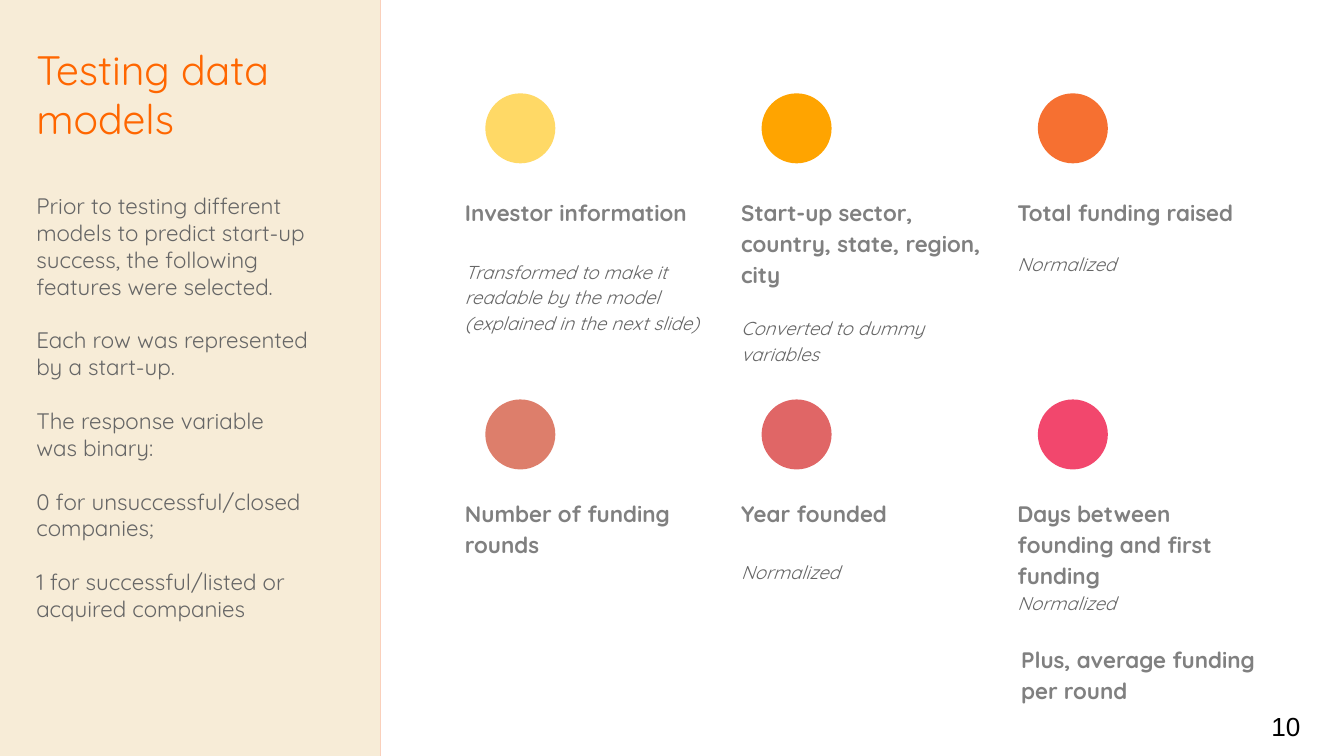
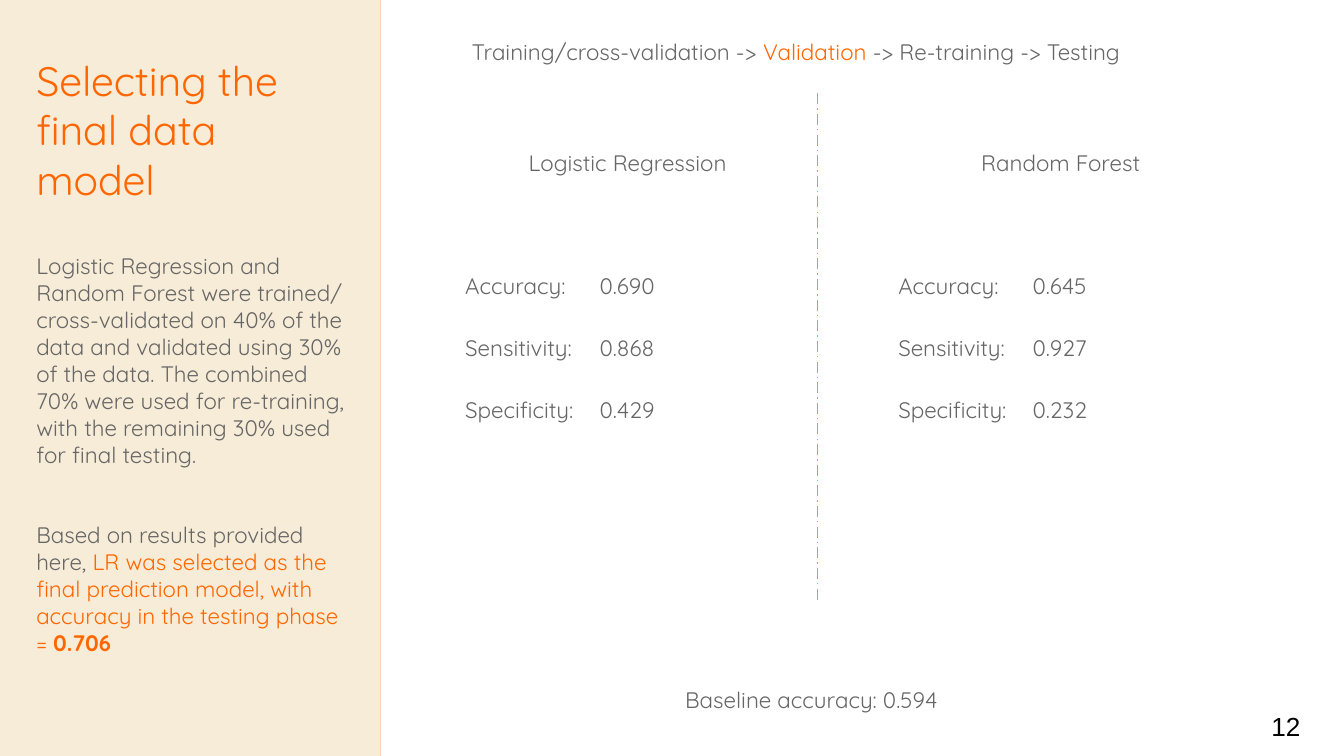
from dataclasses import dataclass

from lxml import etree
from pptx import Presentation
from pptx.dml.color import RGBColor
from pptx.enum.dml import MSO_LINE
from pptx.enum.shapes import MSO_CONNECTOR, MSO_SHAPE
from pptx.enum.text import MSO_ANCHOR, MSO_AUTO_SIZE, PP_ALIGN
from pptx.oxml.ns import qn
from pptx.util import Pt

RECTANGLE = MSO_SHAPE.RECTANGLE
OVAL = MSO_SHAPE.OVAL
STRAIGHT = MSO_CONNECTOR.STRAIGHT
DASH_DOT = MSO_LINE.LONG_DASH_DOT
LEFT, CENTER = PP_ALIGN.LEFT, PP_ALIGN.CENTER
TOP, MIDDLE = MSO_ANCHOR.TOP, MSO_ANCHOR.MIDDLE
NO_FIT = MSO_AUTO_SIZE.NONE

TITLE_ONLY_LAYOUT = 5
TWO_CONTENT_LAYOUT = 3
PAGE_WIDTH, PAGE_HEIGHT = 720, 405
SIDEBAR_WIDTH = 203.75


@dataclass(frozen=True)
class Theme:
    font: str = "Quicksand"
    number_font: str = "Arial"
    backdrop: str = "F67031"
    panel: str = "FFFFFF"
    sidebar: str = "F7ECD7"
    accent: str = "FF6600"
    body: str = "666666"
    label: str = "808080"
    number: str = "000000"
    divider: str = "D79D34"
    title_size: float = 22
    number_size: float = 14
    body_size: float = 12
    note_size: float = 10
    title_gap: float = 26.4
    body_gap: float = 14.4
    loose_line: float = 1.15
    loose_gap: float = 16.5
    inset: float = 7.2


THEME = Theme()


@dataclass(frozen=True)
class Box:
    left: float
    top: float
    width: float
    height: float

    def lengths(self):
        return Pt(self.left), Pt(self.top), Pt(self.width), Pt(self.height)


@dataclass(frozen=True)
class Span:
    text: str
    color: str = THEME.body
    size: float = THEME.body_size
    bold: bool = False
    italic: bool = False
    font: str = THEME.font


@dataclass(frozen=True)
class Para:
    spans: tuple
    after: float = 0
    line: float = THEME.loose_line
    align: PP_ALIGN = LEFT
    tab: float = 0


@dataclass(frozen=True)
class Feature:
    label: str
    color: str
    note: str = ""
    gap: float = THEME.loose_gap
    width: float = 141.2
    height: float = 104
    opacity: int = 100


def write_text(shape, paras, anchor=TOP):
    frame = shape.text_frame
    frame.word_wrap = True
    frame.auto_size = NO_FIT
    frame.vertical_anchor = anchor
    frame.margin_left = frame.margin_right = Pt(THEME.inset)
    frame.margin_top = frame.margin_bottom = Pt(THEME.inset)
    for index, para in enumerate(paras):
        target = frame.add_paragraph() if index else frame.paragraphs[0]
        target.alignment = para.align
        target.line_spacing = para.line
        target.space_before = Pt(0)
        target.space_after = Pt(para.after)
        for span in para.spans:
            run = target.add_run()
            run.text = span.text
            run.font.name = span.font
            run.font.size = Pt(span.size)
            run.font.bold = span.bold
            run.font.italic = span.italic
            run.font.color.rgb = RGBColor.from_string(span.color)
        format_list(target, para.tab)


def format_list(target, tab):
    settings = target._p.get_or_add_pPr()
    settings.set("marL", "0")
    settings.set("indent", "0")
    etree.SubElement(settings, qn("a:buNone"))
    if tab:
        stops = etree.SubElement(settings, qn("a:tabLst"))
        etree.SubElement(stops, qn("a:tab"), pos=str(Pt(tab)), algn="r")


def place(shape, box):
    shape.left, shape.top, shape.width, shape.height = box.lengths()


def add_text(page, box, paras, anchor=TOP):
    write_text(page.shapes.add_textbox(*box.lengths()), paras, anchor)


def add_block(page, kind, box, color, opacity=100):
    shape = page.shapes.add_shape(kind, *box.lengths())
    shape.shadow.inherit = False
    shape.fill.solid()
    shape.fill.fore_color.rgb = RGBColor.from_string(color)
    shape.line.fill.background()
    if opacity < 100:
        tint = shape.element.spPr.find(".//" + qn("a:srgbClr"))
        etree.SubElement(tint, qn("a:alpha"), val=str(opacity * 1000))
    return shape


def add_page(deck, layout, number, title_box, heading, story):
    page = deck.slides.add_slide(deck.slide_layouts[layout])
    title = page.shapes.title
    bands = (
        (Box(SIDEBAR_WIDTH, 0, PAGE_WIDTH - SIDEBAR_WIDTH, PAGE_HEIGHT), THEME.panel),
        (Box(0, 0, SIDEBAR_WIDTH, PAGE_HEIGHT), THEME.sidebar),
    )
    for box, color in bands:
        band = add_block(page, RECTANGLE, box, color)
        title.element.addprevious(band.element)
    place(title, title_box)
    head = Para((Span(heading, THEME.accent, THEME.title_size),), THEME.title_gap, 1.0)
    write_text(title, [head, *story])
    digits = Span(str(number), THEME.number, THEME.number_size, font=THEME.number_font)
    add_text(page, Box(674, 373.5, 43, 31), [Para((digits,), line=1.0)], MIDDLE)
    return page


def label_span(text):
    return Span(text, THEME.label, bold=True)


def add_feature(page, feature, box, caption_drop):
    dot = Box(box.left + 18, box.top, 37.5, 37.5)
    add_block(page, OVAL, dot, feature.color, feature.opacity)
    caption = Box(box.left, box.top + caption_drop, feature.width, feature.height)
    paras = [Para((label_span(feature.label),), feature.gap if feature.note else 0)]
    if feature.note:
        paras.append(Para((Span(feature.note, size=THEME.note_size, italic=True),)))
    add_text(page, caption, paras)


def add_feature_grid(page, box, rows):
    column_step, row_step = box.width / 3, box.height / 2
    for row, (caption_drop, features) in enumerate(rows):
        for column, feature in enumerate(features):
            cell = Box(box.left + column * column_step, box.top + row * row_step,
                       column_step, row_step)
            add_feature(page, feature, cell, caption_drop)


def add_metrics(body, box, model, scores):
    place(body, box)
    paras = [Para((Span(model),), 3 * THEME.loose_gap, align=CENTER)]
    for name, score in scores:
        paras.append(Para((Span(f"{name}:\t{score}"),), THEME.loose_gap, tab=165.5))
    write_text(body, paras)


def add_divider(page, left, top, bottom):
    line = page.shapes.add_connector(STRAIGHT, Pt(left), Pt(top), Pt(left), Pt(bottom))
    line.line.color.rgb = RGBColor.from_string(THEME.divider)
    line.line.width = Pt(0.75)
    line.line.dash_style = DASH_DOT
    etree.SubElement(line.element.spPr, qn("a:effectLst"))


def build_features_page(deck):
    texts = (
        "Prior to testing different models to predict start-up success, "
        "the following features were selected.",
        "Each row was represented by a start-up.",
        "The response variable was binary:",
        "0 for unsuccessful/closed companies;",
        "1 for successful/listed or acquired companies",
    )
    story = [Para((Span(text),), THEME.body_gap, 1.0) for text in texts]
    page = add_page(deck, TITLE_ONLY_LAYOUT, 10, Box(12.25, 16.5, 161.5, 313),
                    "Testing data models", story)
    rows = (
        (47.5, (
            Feature("Investor information", "FFD966",
                    "Transformed to make it readable by the model "
                    "(explained in the next slide)"),
            Feature("Start-up sector, country, state, region, city", "FFA400",
                    "Converted to dummy variables", gap=13.75, width=150.5),
            Feature("Total funding raised", "F67031", "Normalized", gap=12.4),
        )),
        (44.5, (
            Feature("Number of funding rounds", "DD7E6B"),
            Feature("Year founded", "E06666", "Normalized"),
            Feature("Days between founding and first funding", "ED0036",
                    "Normalized", gap=0, height=58, opacity=72),
        )),
    )
    add_feature_grid(page, Box(242, 50, 444, 328), rows)
    extra = label_span("Plus, average funding per round")
    add_text(page, Box(540, 337, 141, 29), [Para((extra,))])


def build_selection_page(deck):
    story = [
        Para((Span(
            "Logistic Regression and Random Forest were trained/ cross-validated "
            "on 40% of the data and validated using 30% of the data. The combined "
            "70% were used for re-training, with the remaining 30% used for final "
            "testing."),), 2 * THEME.body_gap, 1.0),
        Para((
            Span("Based on results provided here, "),
            Span("LR was selected as the final prediction model, with accuracy "
                 "in the testing phase = ", THEME.accent),
            Span("0.706", THEME.accent, bold=True),
        ), line=1.0),
    ]
    page = add_page(deck, TWO_CONTENT_LAYOUT, 12, Box(12.25, 22.5, 180, 324),
                    "Selecting the final data model", story)
    stages = (
        Span("Training/cross-validation -> "),
        Span("Validation", THEME.accent),
        Span(" -> Re-training -> Testing"),
    )
    add_text(page, Box(245.5, 11, 384, 39.5), [Para(stages)])
    names = ("Accuracy", "Sensitivity", "Specificity")
    models = (
        ("Logistic Regression", ("0.690", "0.868", "0.429")),
        ("Random Forest", ("0.645", "0.927", "0.232")),
    )
    for index, (model, scores) in enumerate(models):
        box = Box(242 + 232 * index, 70.5, 188.5, 288)
        add_metrics(page.placeholders[index + 1], box, model, zip(names, scores))
    add_divider(page, 438, 50, 322.5)
    baseline = Span("Baseline accuracy: 0.594")
    add_text(page, Box(360, 358.5, 188.5, 36), [Para((baseline,))])


def main():
    deck = Presentation()
    deck.slide_width, deck.slide_height = Pt(PAGE_WIDTH), Pt(PAGE_HEIGHT)
    backdrop = deck.slide_master.background.fill
    backdrop.solid()
    backdrop.fore_color.rgb = RGBColor.from_string(THEME.backdrop)
    build_features_page(deck)
    build_selection_page(deck)
    deck.save("out.pptx")


if __name__ == "__main__":
    main()
